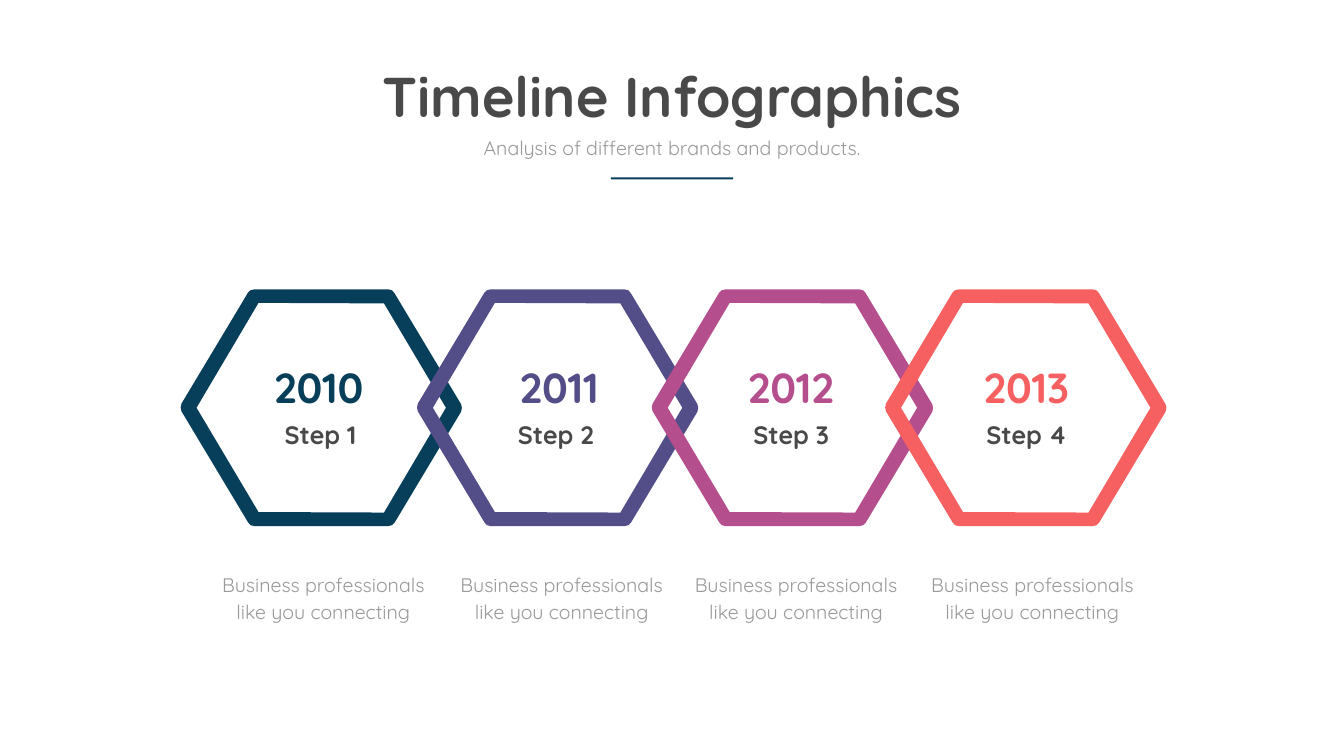
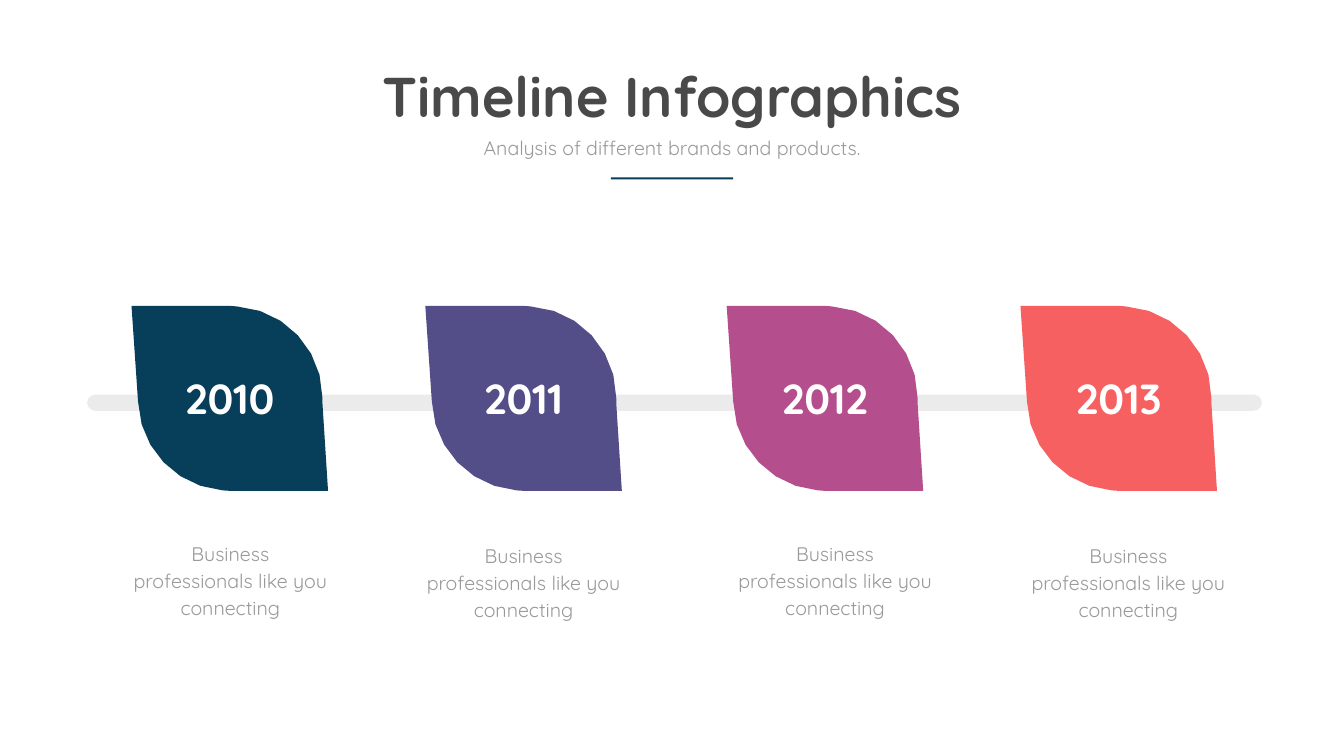
"""Build two timeline infographic slides."""
from dataclasses import dataclass

from pptx import Presentation
from pptx.dml.color import RGBColor
from pptx.enum.shapes import MSO_SHAPE as Preset
from pptx.enum.text import MSO_ANCHOR as Anchor, MSO_AUTO_SIZE as AutoSize, PP_ALIGN as Align
from pptx.util import Inches, Pt


@dataclass(frozen=True)
class Theme:
    """Colours and type sizes shared by the slides."""
    font: str = "Quicksand"
    steps: tuple = ("073E59", "534D88", "B54E8D", "F76061")
    dark: str = "494949"
    gray: str = "999999"
    track: str = "EBEBEB"
    white: str = "FFFFFF"
    title_size: int = 80
    year_size: int = 60
    step_size: int = 36
    body_size: int = 28
    body_leading: float = 38.6


THEME = Theme()
COLUMNS, ROWS = 26.67, 15
CELL = Inches(1)
YEARS = ("2010", "2011", "2012", "2013")
CAPTION = "Business professionals like you connecting"

RING_SIZE = (5.57, 4.7)
RING_OUTER_HALF = (
    (4.11, 0), (4.17, 0, 4.22, 0.03, 4.24, 0.08),
    (5.56, 2.28), (5.58, 2.33, 5.58, 2.38, 5.56, 2.43),
    (4.24, 4.63), (4.22, 4.67, 4.17, 4.7, 4.11, 4.7),
)
RING_INNER_HALF = ((4.03, 0.28), (5.26, 2.35), (4.03, 4.43))
LEAF = (
    (0, 0), (0.13, 1.9), (0.16, 2.83, 0.89, 3.59, 1.81, 3.66), (1.96, 3.67),
    (3.9, 3.67), (3.79, 1.94), (3.79, 1.83), (3.79, 0.87, 3.05, 0.07, 2.09, 0.01), (1.96, 0),
)


def cells(*lengths):
    """Turn grid lengths into slide units."""
    return [round(length * CELL) for length in lengths]


def bezier(start, curve, samples):
    """Return points along a cubic curve after its start."""
    anchors = [start, curve[:2], curve[2:4], curve[4:]]
    points = []
    for sample in range(1, samples + 1):
        t = sample / samples
        weights = ((1 - t) ** 3, 3 * t * (1 - t) ** 2, 3 * t * t * (1 - t), t ** 3)
        points.append(tuple(
            sum(weight * anchor[axis] for weight, anchor in zip(weights, anchors))
            for axis in (0, 1)))
    return points


def flatten(segments, samples):
    """Turn points and curves into a list of points."""
    points = []
    for segment in segments:
        points += [segment] if len(segment) == 2 else bezier(points[-1], segment, samples)
    return points


def ring_contour(half):
    """Complete half a ring contour by a half turn."""
    points = flatten(half, samples=2)
    return points + [(RING_SIZE[0] - x, RING_SIZE[1] - y) for x, y in points]


def paint(shape, color):
    """Give a shape a plain fill without line or shadow."""
    shape.fill.solid()
    shape.fill.fore_color.rgb = RGBColor.from_string(color)
    shape.line.fill.background()
    shape.shadow.inherit = False


def add_outline(slide, left, top, contours, color):
    """Draw closed contours as one filled freeform."""
    placed = [[cells(left + x, top + y) for x, y in contour] for contour in contours]
    builder = slide.shapes.build_freeform(*placed[0][0])
    builder.add_line_segments(placed[0][1:], close=True)
    for contour in placed[1:]:
        builder.move_to(*contour[0])
        builder.add_line_segments(contour[1:], close=True)
    paint(builder.convert_to_shape(), color)


def add_block(slide, preset, box, color):
    """Draw a filled preset shape."""
    shape = slide.shapes.add_shape(preset, *cells(*box))
    paint(shape, color)
    return shape


def write(shape, text, size, color, bold=False, wrap=True, leading=None):
    """Set centred text in a text box or placeholder."""
    frame = shape.text_frame
    frame.text = text
    frame.word_wrap = wrap
    frame.auto_size = AutoSize.NONE
    frame.vertical_anchor = Anchor.TOP
    frame.margin_left = frame.margin_right = Inches(0.05)
    frame.margin_top = frame.margin_bottom = Inches(0.04)
    paragraph = frame.paragraphs[0]
    paragraph.alignment = Align.CENTER
    if leading:
        paragraph.line_spacing = Pt(leading)
    font = paragraph.font
    font.name, font.size, font.bold = THEME.font, Pt(size), bold
    font.color.rgb = RGBColor.from_string(color)


def add_text(slide, box, text, size, color, **style):
    """Add a text box with centred text."""
    write(slide.shapes.add_textbox(*cells(*box)), text, size, color, **style)


def add_year(slide, box, year, color):
    """Add a large bold year."""
    add_text(slide, box, year, THEME.year_size, color, bold=True, wrap=False)


def add_caption(slide, box):
    """Add the description below a step."""
    add_text(slide, box, CAPTION, THEME.body_size, THEME.gray, leading=THEME.body_leading)


def centred(width, top, height):
    """Return a box centred across the slide."""
    return (COLUMNS - width) / 2, top, width, height


def add_heading_slide(presentation):
    """Add a slide with the shared title, subtitle and rule."""
    slide = presentation.slides.add_slide(presentation.slide_layouts[5])
    title = slide.shapes.title
    title.left, title.top, title.width, title.height = cells(*centred(11.72, 1.18, 1.45))
    write(title, "Timeline Infographics", THEME.title_size, THEME.dark, bold=True, wrap=False)
    add_text(slide, centred(9.56, 2.65, 0.57), "Analysis of different brands and products.",
             THEME.body_size, THEME.gray)
    add_block(slide, Preset.RECTANGLE, centred(2.43, 3.52, 0.04), THEME.steps[0])
    return slide


def build_ring_timeline(presentation):
    """Build the timeline of interlocking hexagon rings."""
    slide = add_heading_slide(presentation)
    contours = [ring_contour(half) for half in (RING_OUTER_HALF, RING_INNER_HALF)]
    for left, color in zip((3.59, 8.28, 12.94, 17.57), THEME.steps):
        add_outline(slide, left, 5.74, contours, color)
    for left in (4.13, 8.86, 13.51, 18.2):
        add_caption(slide, (left, 11.25, 4.57, 1.15))
    for left, year, color in zip((5.28, 10.05, 14.65, 19.32), YEARS, THEME.steps):
        add_year(slide, (left, 7.13, 2.09, 1.11), year, color)
    for column in range(len(YEARS)):
        add_text(slide, (4.26 + 4.67 * column, 8.27, 4.2, 0.71), f"Step {column + 1}",
                 THEME.step_size, THEME.dark, bold=True)


def build_leaf_timeline(presentation):
    """Build the timeline of leaves on a track."""
    slide = add_heading_slide(presentation)
    track = add_block(slide, Preset.ROUNDED_RECTANGLE, (1.73, 7.83, 23.31, 0.32), THEME.track)
    track.adjustments[0] = 0.5
    leaf = flatten(LEAF, samples=6)
    leaf_lefts = (2.61, 8.44, 14.42, 20.25)
    for left, color in zip(leaf_lefts, THEME.steps):
        add_outline(slide, left, 6.07, [leaf], color)
    for column, left in enumerate((2.54, 8.36, 14.54, 20.36)):
        add_caption(slide, (left, 10.65 + 0.03 * (column % 2), 4.06, 1.08))
    for left, year in zip(leaf_lefts, YEARS):
        add_year(slide, (left + 0.96, 7.35, 1.98, 1.05), year, THEME.white)


def main():
    """Create and save the presentation."""
    presentation = Presentation()
    presentation.slide_width, presentation.slide_height = cells(COLUMNS, ROWS)
    build_ring_timeline(presentation)
    build_leaf_timeline(presentation)
    presentation.save("out.pptx")


if __name__ == "__main__":
    main()
